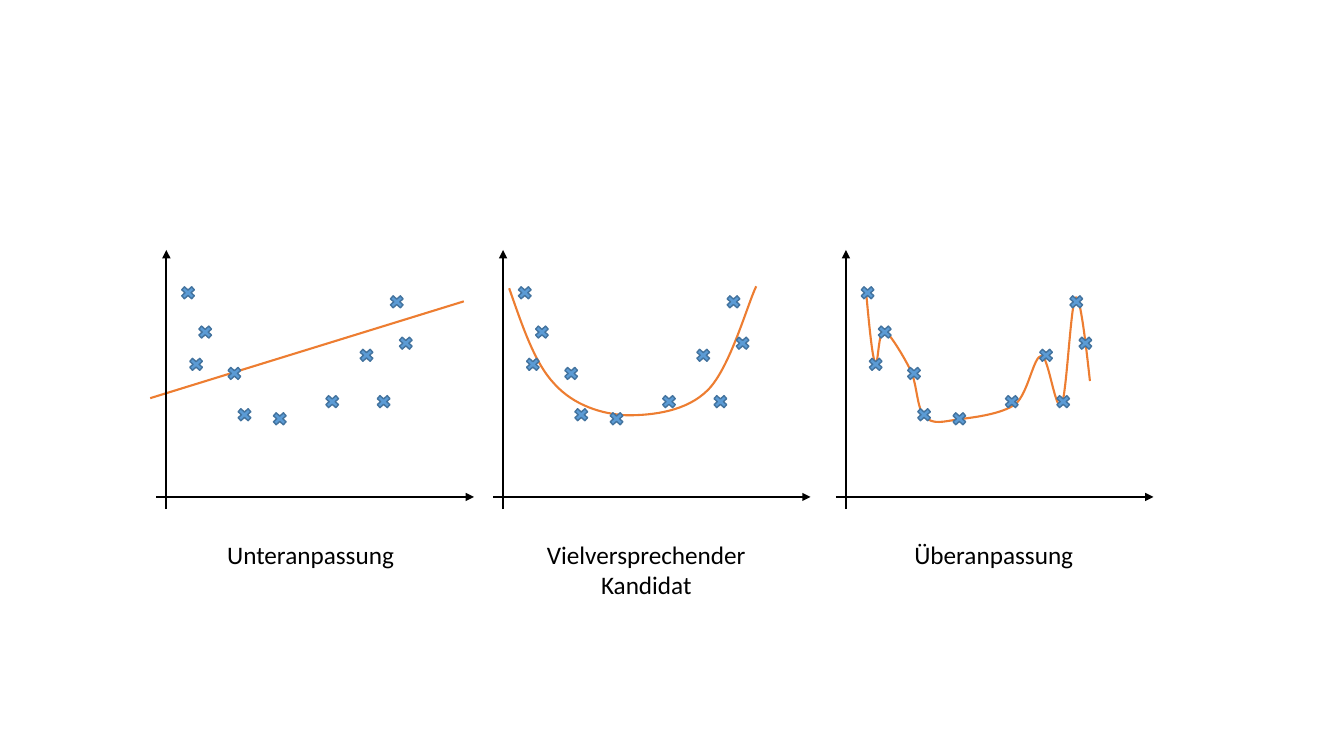
from lxml import etree
from pptx import Presentation
from pptx import util as u
from pptx.dml.color import RGBColor
from pptx.enum import shapes, text
from pptx.oxml.ns import qn

PX = 9144  # EMU per px, 100 px to the inch
BLACK = RGBColor(0x00, 0x00, 0x00)
ORANGE = RGBColor(0xED, 0x7D, 0x31)
BLUE = RGBColor(0x5B, 0x9B, 0xD5)
NAVY = RGBColor(0x43, 0x73, 0x9E)
FONT = "Calibri"

AXES = [165, 499, 839]  # left of each vertical axis
BASE = 493  # height of the horizontal axes
# Left and top of each data cross: left from the vertical axis, top on the slide
MARKS = [(29, 321), (58, 362), (103, 407), (68, 403), (155, 390), (206, 390),
         (189, 344), (228, 332), (219, 291), (12, 282), (20, 353)]
MARK_W, MARK_H = 19, 17

TREND = [(149, 395), (460, 299)]
# Bezier curves: a start point, then two controls and an end per segment
BOWL = [(505, 286), (518, 323), (530, 360), (550, 381),
        (569, 402), (597, 411), (622, 412),
        (648, 412), (681, 408), (702, 387),
        (724, 365), (741, 303), (750, 284)]
WIGGLE = [(859, 290), (862, 322), (865, 354), (868, 360),
          (871, 366), (871, 327), (877, 328),
          (882, 330), (896, 353), (903, 367),
          (910, 382), (909, 405), (917, 413),
          (925, 422), (936, 418), (951, 416),
          (966, 414), (993, 411), (1007, 401),
          (1020, 390), (1025, 353), (1033, 353),
          (1040, 353), (1047, 411), (1053, 401),
          (1058, 391), (1062, 299), (1067, 295),
          (1072, 292), (1079, 361), (1081, 378)]
CURVES = [(WIGGLE, 129), (BOWL, 128)]  # knots and full height

# Caption, left, width, height, wrapped and centred
LABELS = [("Unteranpassung", 204, 208, 40, True),
          ("Vielversprechender Kandidat", 524, 234, 71, True),
          ("Überanpassung", 897, 180, 40, False)]
LABEL_TOP = 530


def emu(*nums):
    return [u.Emu(n * PX) for n in nums]


def add_line(start, end, color, arrow=False):
    line = slide.shapes.add_connector(
        shapes.MSO_CONNECTOR.STRAIGHT, *emu(*start, *end))
    line.line.color.rgb = color
    line.line.width = u.Pt(1.5)
    if arrow:
        etree.SubElement(line.line._get_or_add_ln(), qn("a:tailEnd"),
                         type="triangle")
    etree.SubElement(line._element.spPr, qn("a:effectLst"))


def add_curve(knots, height):
    """Draw an open chain of cubic Bezier segments."""
    ends = knots[::3]
    pen = slide.shapes.build_freeform(*ends[0], scale=PX)
    pen.add_line_segments(ends[1:], close=False)
    curve = pen.convert_to_shape()
    left, top = (min(axis) for axis in zip(*ends))
    route = next(curve._element.iter(qn("a:path")))
    route.set("h", str(height))
    curve.height = u.Emu(height * PX)
    for i, step in enumerate(route.findall(qn("a:lnTo"))):
        bend = etree.Element(qn("a:cubicBezTo"))
        for x, y in knots[3 * i + 1:3 * i + 4]:
            etree.SubElement(bend, qn("a:pt"), x=str(x - left), y=str(y - top))
        route.replace(step, bend)
    curve.shadow.inherit = False
    curve.fill.background()
    curve.line.color.rgb = ORANGE
    curve.line.width = u.Pt(1.5)


def add_mark(left, top):
    mark = slide.shapes.add_shape(shapes.MSO_SHAPE.MATH_MULTIPLY,
                                  *emu(left, top, MARK_W, MARK_H))
    mark.shadow.inherit = False
    mark.fill.solid()
    mark.fill.fore_color.rgb = BLUE
    mark.line.color.rgb = NAVY
    mark.line.width = u.Pt(1)


def add_label(words, left, width, height, wrap):
    frame = slide.shapes.add_textbox(
        *emu(left, LABEL_TOP, width, height)).text_frame
    frame.word_wrap = wrap
    frame.auto_size = text.MSO_AUTO_SIZE.SHAPE_TO_FIT_TEXT
    para = frame.paragraphs[0]
    if wrap:
        para.alignment = text.PP_ALIGN.CENTER
    run = para.add_run()
    run.text = words
    run.font.name = FONT
    run.font.size = u.Pt(18)
    run.font.color.rgb = BLACK


deck = Presentation()
deck.slide_width, deck.slide_height = emu(1333, 750)
slide = deck.slides.add_slide(deck.slide_layouts[6])

for knots, height in CURVES:
    add_curve(knots, height)
add_line(*TREND, ORANGE)
for axis in AXES:
    add_line((axis, BASE + 12), (axis, 248), BLACK, arrow=True)
    add_line((axis - 10, BASE), (axis + 305, BASE), BLACK, arrow=True)
    for dx, top in MARKS:
        add_mark(axis + dx, top)
for label in LABELS:
    add_label(*label)

deck.save("out.pptx")
